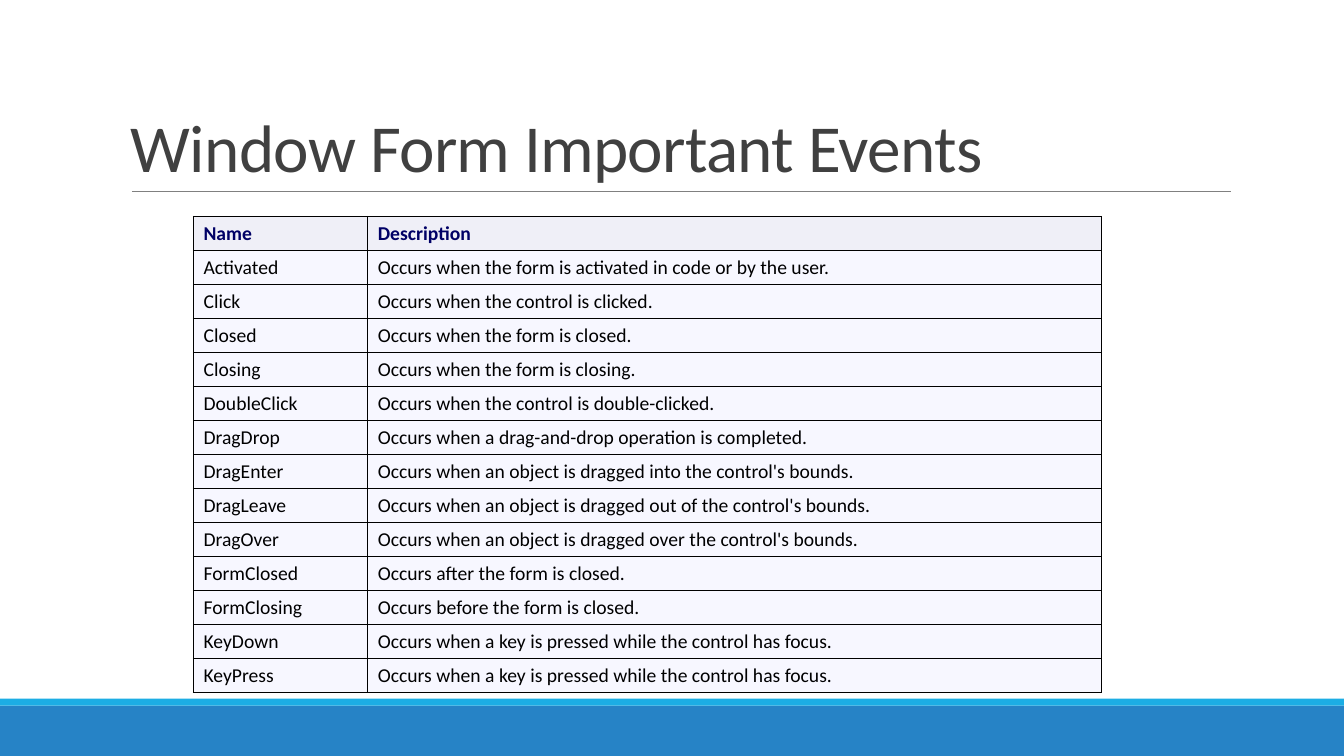
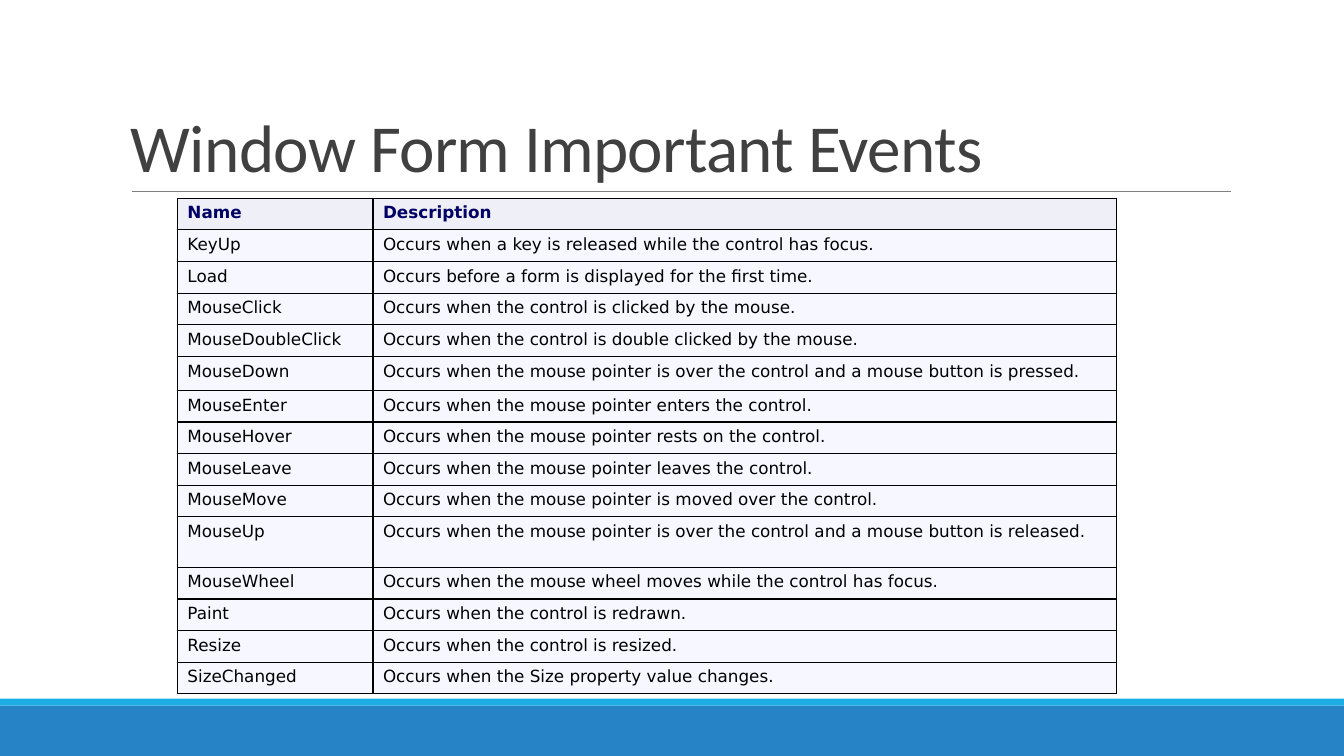
from pptx import Presentation
from pptx import util as u
from pptx.dml.color import RGBColor
from pptx.enum import shapes, text
from pptx.oxml import parse_xml
from pptx.oxml.ns import nsdecls, qn
from lxml import etree

Pt = u.Pt
WIDE, HIGH = 960, 540
COLORS = {
    "band": "2683C6",
    "strip": "1CADE4",
    "rule": "808080",
    "title": "404040",
    "label": "000066",
    "text": "000000",
    "border": "000000",
    "head": "EFEFF7",
    "body": "F7F7FF",
}
TITLE = {"name": "Calibri", "size": Pt(48), "bold": False}
BANDS = [("band", 504, 36), ("strip", 499, 5)]
HEADER = ("Name", "Description")

FORM_EVENTS = [
    ("Activated", "Occurs when the form is activated in code or by the user."),
    ("Click", "Occurs when the control is clicked."),
    ("Closed", "Occurs when the form is closed."),
    ("Closing", "Occurs when the form is closing."),
    ("DoubleClick", "Occurs when the control is double-clicked."),
    ("DragDrop", "Occurs when a drag-and-drop operation is completed."),
    ("DragEnter", "Occurs when an object is dragged into the control's bounds."),
    ("DragLeave", "Occurs when an object is dragged out of the control's bounds."),
    ("DragOver", "Occurs when an object is dragged over the control's bounds."),
    ("FormClosed", "Occurs after the form is closed."),
    ("FormClosing", "Occurs before the form is closed."),
    ("KeyDown", "Occurs when a key is pressed while the control has focus."),
    ("KeyPress", "Occurs when a key is pressed while the control has focus."),
]
MOUSE_EVENTS = [
    ("KeyUp", "Occurs when a key is released while the control has focus."),
    ("Load", "Occurs before a form is displayed for the first time."),
    ("MouseClick", "Occurs when the control is clicked by the mouse."),
    ("MouseDoubleClick", "Occurs when the control is double clicked by the mouse."),
    ("MouseDown", "Occurs when the mouse pointer is over the control and a mouse button is pressed."),
    ("MouseEnter", "Occurs when the mouse pointer enters the control."),
    ("MouseHover", "Occurs when the mouse pointer rests on the control."),
    ("MouseLeave", "Occurs when the mouse pointer leaves the control."),
    ("MouseMove", "Occurs when the mouse pointer is moved over the control."),
    ("MouseUp", "Occurs when the mouse pointer is over the control and a mouse button is released."),
    ("MouseWheel", "Occurs when the mouse wheel moves while the control has focus."),
    ("Paint", "Occurs when the control is redrawn."),
    ("Resize", "Occurs when the control is resized."),
    ("SizeChanged", "Occurs when the Size property value changes."),
]
TABLES = [
    {"events": FORM_EVENTS, "left": 138.2, "top": 154.6, "cols": (124.5, 524.2),
     "row": 24.3, "tall": {}, "font": {"name": "Calibri", "size": Pt(14)}},
    {"events": MOUSE_EVENTS, "left": 126.7, "top": 141.6, "cols": (139.7, 531.4),
     "row": 22.6, "tall": {"MouseDown": 24.3, "MouseUp": 36},
     "font": {"name": "DejaVu Sans", "size": Pt(12)}},
]


def color(key):
    return RGBColor.from_string(COLORS[key])


def style(font, look, key):
    for name, value in look.items():
        setattr(font, name, value)
    font.color.rgb = color(key)


def add_band(slide, key, top, high):
    band = slide.shapes.add_shape(
        shapes.MSO_SHAPE.RECTANGLE, 0, Pt(top), Pt(WIDE), Pt(high))
    band.shadow.inherit = False
    band.fill.solid()
    band.fill.fore_color.rgb = color(key)
    band.line.fill.background()


def add_rule(slide):
    rule = slide.shapes.add_connector(
        shapes.MSO_CONNECTOR.STRAIGHT, Pt(94.3), Pt(136.8), Pt(879), Pt(136.8))
    rule.line.color.rgb = color("rule")
    rule.line.width = Pt(0.5)
    etree.SubElement(rule._element.spPr, qn("a:effectLst"))


def add_title(slide, words):
    box = slide.shapes.add_textbox(Pt(86.4), Pt(22.3), Pt(792), Pt(114.5))
    frame = box.text_frame
    frame.word_wrap = True
    frame.vertical_anchor = text.MSO_ANCHOR.BOTTOM
    line = frame.paragraphs[0]
    line.line_spacing = 0.85
    run = line.add_run()
    run.text = words
    style(run.font, TITLE, "title")
    run.font._element.set("spc", "-50")


def add_border(cell):
    props = cell._tc.get_or_add_tcPr()
    for index, side in enumerate(("lnL", "lnR", "lnT", "lnB")):
        props.insert(index, parse_xml(
            f'<a:{side} {nsdecls("a")} w="{Pt(1)}"><a:solidFill>'
            f'<a:srgbClr val="{COLORS["border"]}"/></a:solidFill></a:{side}>'))


def fill_cell(cell, words, font, head):
    cell.fill.solid()
    cell.fill.fore_color.rgb = color("head" if head else "body")
    run = cell.text_frame.paragraphs[0].add_run()
    run.text = words
    style(run.font, {**font, "bold": head}, "label" if head else "text")
    add_border(cell)


def add_events(slide, plan):
    rows = [HEADER, *plan["events"]]
    highs = [plan["tall"].get(name, plan["row"]) for name, _ in rows]
    frame = slide.shapes.add_table(
        len(rows), len(HEADER), Pt(plan["left"]), Pt(plan["top"]),
        Pt(sum(plan["cols"])), Pt(sum(highs)))
    table = frame.table
    for column, width in zip(table.columns, plan["cols"]):
        column.width = Pt(width)
    for r, (row, high) in enumerate(zip(rows, highs)):
        table.rows[r].height = Pt(high)
        for c, words in enumerate(row):
            fill_cell(table.cell(r, c), words, plan["font"], r == 0)


def main():
    deck = Presentation()
    deck.slide_width, deck.slide_height = Pt(WIDE), Pt(HIGH)
    for plan in TABLES:
        slide = deck.slides.add_slide(deck.slide_layouts[6])
        for band in BANDS:
            add_band(slide, *band)
        add_rule(slide)
        add_title(slide, "Window Form Important Events")
        add_events(slide, plan)
    deck.save("out.pptx")


if __name__ == "__main__":
    main()
